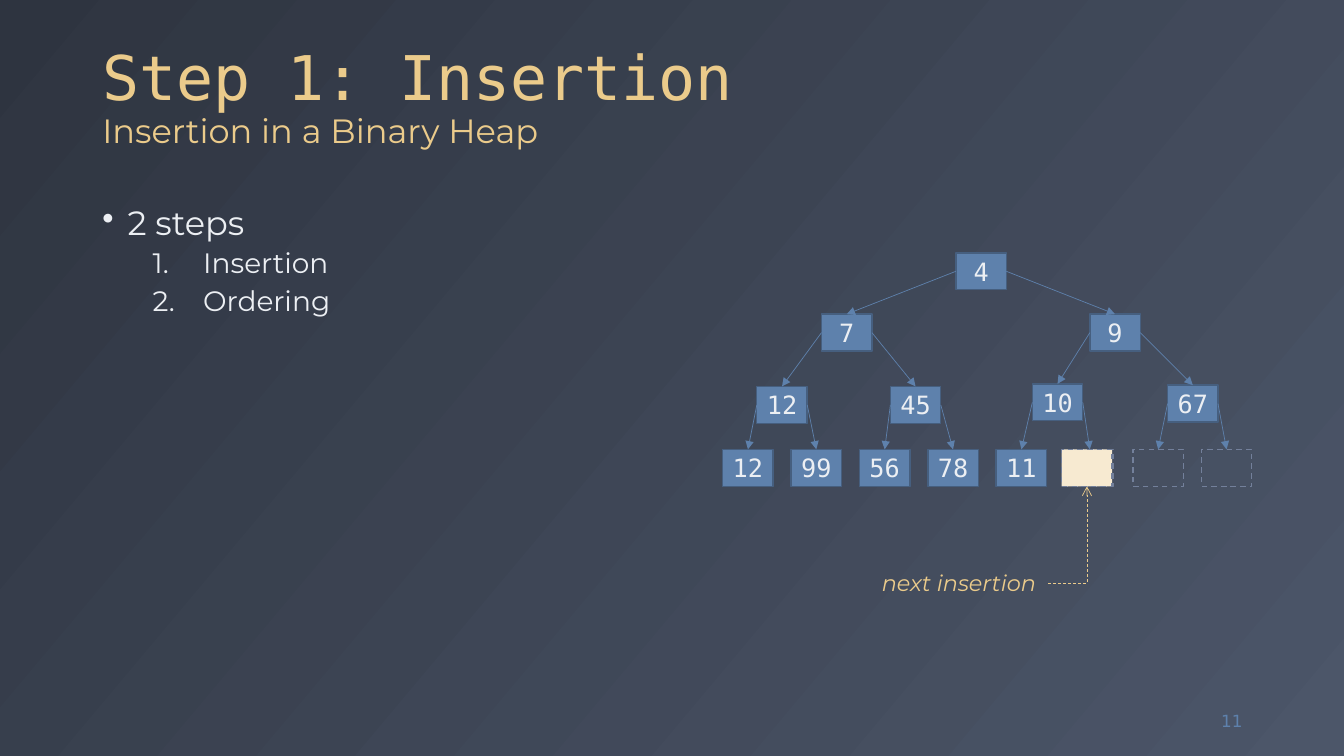
import lxml.etree
import pptx
import pptx.dml.color
import pptx.enum.dml
import pptx.enum.shapes
import pptx.enum.text
import pptx.oxml.ns
import pptx.util

RGB = pptx.dml.color.RGBColor
ALIGN = pptx.enum.text.PP_ALIGN
ANCHOR = pptx.enum.text.MSO_ANCHOR
DASH = pptx.enum.dml.MSO_LINE.DASH
LINK = pptx.enum.shapes.MSO_CONNECTOR
RECT = pptx.enum.shapes.MSO_SHAPE.RECTANGLE

NIGHT = RGB(0x2E, 0x34, 0x40)
SLATE = RGB(0x4C, 0x56, 0x69)
GOLD = RGB(0xEB, 0xCB, 0x8B)
CREAM = RGB(0xF7, 0xEA, 0xD1)
SNOW = RGB(0xEC, 0xEF, 0xF3)
BLUE = RGB(0x5E, 0x81, 0xAC)
NAVY = RGB(0x46, 0x5F, 0x7F)
STEEL = RGB(0x73, 0x80, 0x9B)

MONO = "DejaVu Sans Mono"
SANS = "DejaVu Sans"
BODY = "Montserrat"
COLS, ROWS = 160, 90
WIDE, TALL = 6, 4.4
LEFT, RIGHT = 1, 3


def write(para, text, size=18, font=BODY, color=SNOW, slant=None):
    run = para.add_run()
    run.text = text
    run.font.size = pptx.util.Pt(size)
    run.font.name = font
    run.font.color.rgb = color
    run.font.italic = slant


def child(node, tag, **attrs):
    return lxml.etree.SubElement(node, pptx.oxml.ns.qn(tag), **attrs)


class Board:
    """Draws styled elements on one slide, placed by grid columns and rows."""

    def __init__(self, deck):
        self.slide = deck.slides.add_slide(deck.slide_layouts[6])
        self.shapes = self.slide.shapes
        self.col = deck.slide_width / COLS
        self.row = deck.slide_height / ROWS

    def place(self, x, y):
        return round(x * self.col), round(y * self.row)

    def shade(self, start, end, angle):
        fill = self.slide.background.fill
        fill.gradient()
        fill.gradient_angle = angle
        for stop, color in zip(fill.gradient_stops, (start, end)):
            stop.color.rgb = color

    def frame(self, x, y, wide, tall, anchor=ANCHOR.TOP, wrap=True):
        box = self.shapes.add_textbox(*self.place(x, y), *self.place(wide, tall))
        frame = box.text_frame
        frame.word_wrap = wrap
        frame.vertical_anchor = anchor
        return frame

    def point(self, para, text, size, before, level, mark, indent, hang):
        para.level = level
        para.line_spacing = 0.9
        para.space_before = pptx.util.Pt(before)
        write(para, text, size)
        props = para._p.get_or_add_pPr()
        props.set("marL", str(pptx.util.Inches(indent)))
        props.set("indent", str(pptx.util.Inches(-hang)))
        if mark == "1.":
            child(props, "a:buAutoNum", type="arabicPeriod")
        else:
            child(props, "a:buChar", char=mark)

    def box(self, x, y, text="", fill=None, edge=STEEL, dash=DASH):
        box = self.shapes.add_shape(RECT, *self.place(x, y), *self.place(WIDE, TALL))
        box.shadow.inherit = False
        if fill is None:
            box.fill.background()
        else:
            box.fill.solid()
            box.fill.fore_color.rgb = fill
        box.line.color.rgb = edge
        box.line.width = pptx.util.Pt(1)
        box.line.dash_style = dash
        if text:
            frame = box.text_frame
            frame.vertical_anchor = ANCHOR.MIDDLE
            frame.paragraphs[0].alignment = ALIGN.CENTER
            write(frame.paragraphs[0], text, font=MONO)
        return box

    def arrow(self, start, end, kind=LINK.STRAIGHT, color=BLUE, head="triangle", dash=None):
        link = self.shapes.add_connector(kind, *self.place(*start), *self.place(*end))
        link.line.color.rgb = color
        link.line.width = pptx.util.Pt(0.5)
        link.line.dash_style = dash
        child(link.line._get_or_add_ln(), "a:tailEnd", type=head)
        child(link._element.spPr, "a:effectLst")
        return link

    def bend(self, start, end):
        link = self.arrow(start, end, LINK.ELBOW, GOLD, "arrow", DASH)
        link._element.spPr.find(pptx.oxml.ns.qn("a:prstGeom")).set("prst", "bentConnector2")


def draw_text(board):
    para = board.frame(11, 2.2, 138, 16.3, ANCHOR.BOTTOM).paragraphs[0]
    para.line_spacing = 0.9
    write(para, "Step 1: Insertion", 44, MONO, GOLD)
    para.add_line_break()
    write(para, "Insertion in a Binary Heap", 24, BODY, GOLD)

    frame = board.frame(11, 24, 65.6, 57.1)
    board.point(frame.paragraphs[0], "2 steps", 24, 10, 0, "•", 0.25, 0.25)
    for step in ("Insertion", "Ordering"):
        board.point(frame.add_paragraph(), step, 20, 5, 1, "1.", 1, 0.5)

    para = board.frame(139.1, 83.4, 10, 4.8, ANCHOR.MIDDLE).paragraphs[0]
    para.alignment = ALIGN.RIGHT
    write(para, "11", 12, SANS, BLUE)


def draw_heap(board):
    base, first, pitch = 53.5, 86.04, 8.14
    heap = [4, 7, 9, 12, 45, 10, 67, 12, 99, 56, 78, 11]
    spots = [(113.8, 30.1), (97.8, 37.4), (129.75, 37.4), (90.1, 46),
             (106, 46), (122.9, 45.7), (139, 45.85)]
    spots += [(first + pitch * leaf, base) for leaf in range(8)]
    next_x, next_slot = 126.4, len(heap)

    nodes = {}
    for slot, (x, y) in enumerate(spots):
        if slot < next_slot:
            nodes[slot] = board.box(x, y, str(heap[slot]), BLUE, NAVY, None)
        elif slot > next_slot:
            nodes[slot] = board.box(x, y)

    for slot in range(1, len(spots)):
        top, side = (slot - 1) // 2, LEFT if slot % 2 else RIGHT
        x, y = spots[top]
        end_x, end_y = spots[slot]
        start = x + (WIDE if side == RIGHT else 0), y + TALL / 2
        link = board.arrow(start, (end_x + WIDE / 2, end_y))
        link.begin_connect(nodes[top], side)
        if slot in nodes:
            link.end_connect(nodes[slot], 0)

    para = board.frame(103.8, 67.2, 21, TALL, wrap=False).paragraphs[0]
    write(para, "next insertion", 16, BODY, GOLD, True)
    board.bend((124.8, 69.4), (next_x + WIDE / 2, base + TALL))
    board.box(next_x + 0.1, base)
    board.box(next_x, base, fill=CREAM)


def main():
    deck = pptx.Presentation()
    deck.slide_width = pptx.util.Inches(13.33)
    deck.slide_height = pptx.util.Inches(7.5)
    board = Board(deck)
    board.shade(NIGHT, SLATE, 320)
    draw_text(board)
    draw_heap(board)
    deck.save("out.pptx")


if __name__ == "__main__":
    main()
